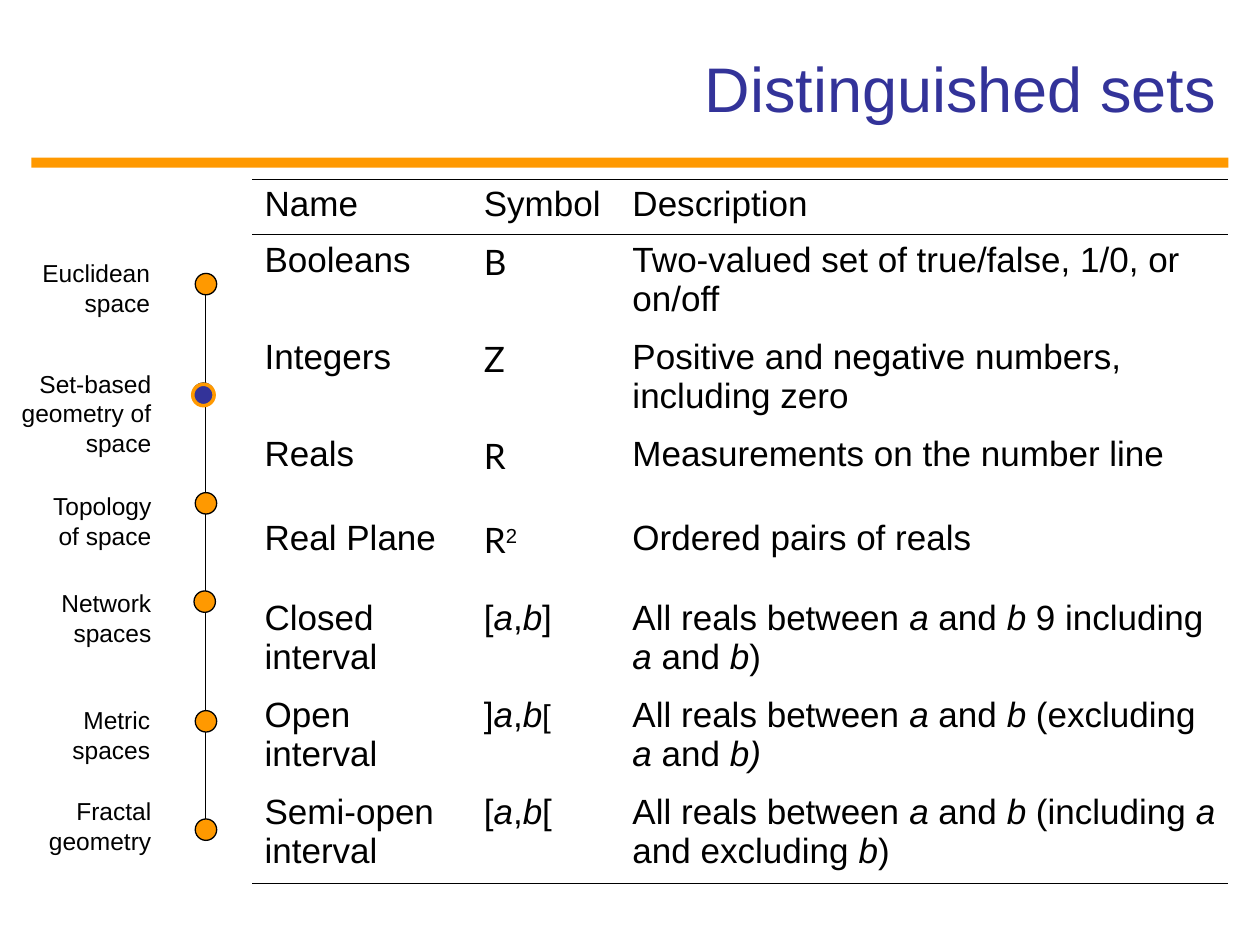
from lxml import etree
from pptx import Presentation
from pptx.dml.color import RGBColor
from pptx.enum.shapes import MSO_CONNECTOR, MSO_SHAPE
from pptx.enum.text import MSO_ANCHOR, MSO_AUTO_SIZE, PP_ALIGN
from pptx.oxml.ns import qn
from pptx.util import Inches, Pt

ORANGE = RGBColor(0xFF, 0x99, 0x00)
INDIGO = RGBColor(0x33, 0x33, 0x99)
BLACK = RGBColor(0, 0, 0)
FONT = "Arial"
SYMBOL_FONT = "Lato"
NO_STYLE = "{2D5ABB26-0587-4C30-8999-92F81FD0307C}"
DOT = 0.17

# label, left, top, width, height, dot left, dot top
TOPICS = [
    ("Euclidean space", 0.2, 2, 1.09, 0.57, 1.55, 2.17),
    ("Set-based geometry of space", 0.03, 2.88, 1.27, 0.8, 1.53, 3.04),
    ("Topology of space", 0.29, 3.85, 1.01, 0.57, 1.55, 3.91),
    ("Network spaces", 0.23, 4.62, 1.07, 0.57, 1.54, 4.69),
    ("Metric spaces", 0.27, 5.55, 1.02, 0.57, 1.55, 5.64),
    ("Fractal geometry", 0.07, 6.27, 1.23, 0.57, 1.55, 6.5),
]

# *text* is italic, ^text is a superscript
ROWS = [
    ("Name", "Symbol", "Description"),
    ("Booleans", "B", "Two-valued set of true/false, 1/0, or on/off"),
    ("Integers", "Z", "Positive and negative numbers, including zero"),
    ("Reals", "R", "Measurements on the number line"),
    ("Real Plane", "R^2", "Ordered pairs of reals"),
    ("Closed interval", "[*a*,*b*]",
     "All reals between *a* and *b* 9 including *a* and *b*)"),
    ("Open interval", "]*a*,*b*[",
     "All reals between *a* and *b* (excluding *a* and *b)*"),
    ("Semi-open interval", "[*a*,*b*[",
     "All reals between *a* and *b* (including *a* and excluding *b*)"),
]
COL_WIDTHS = [1.74, 1.18, 4.83]
ROW_HEIGHTS = [0.44, 0.77, 0.77, 0.67, 0.63, 0.77, 0.77, 0.77]


def style(p, size, color=BLACK, align=PP_ALIGN.LEFT):
    p.alignment = align
    p.font.size = Pt(size)
    p.font.name = FONT
    p.font.color.rgb = color


def add_title(slide, text):
    sp = slide.shapes.title
    sp.left, sp.top, sp.width, sp.height = map(Inches, (0.75, 0.22, 9, 0.95))
    tf = sp.text_frame
    tf.text = text
    tf.auto_size = MSO_AUTO_SIZE.NONE
    tf.vertical_anchor = MSO_ANCHOR.MIDDLE
    style(tf.paragraphs[0], 36, INDIGO, PP_ALIGN.RIGHT)


def add_filled(slide, kind, box, fill, line=None, line_width=0.75):
    sp = slide.shapes.add_shape(kind, *map(Inches, box))
    sp.shadow.inherit = False
    sp.fill.solid()
    sp.fill.fore_color.rgb = fill
    if line is None:
        sp.line.fill.background()
    else:
        sp.line.color.rgb = line
        sp.line.width = Pt(line_width)


def add_dot(slide, left, top, fill=ORANGE, line=BLACK, line_width=0.75):
    add_filled(slide, MSO_SHAPE.OVAL, (left, top, DOT, DOT), fill, line, line_width)


def add_label(slide, text, box):
    tf = slide.shapes.add_textbox(*map(Inches, box)).text_frame
    tf.word_wrap = True
    tf.text = text
    style(tf.paragraphs[0], 14, align=PP_ALIGN.RIGHT)


def add_timeline(slide):
    line = slide.shapes.add_connector(
        MSO_CONNECTOR.STRAIGHT, Inches(1.63), Inches(2.17), Inches(1.63), Inches(6.58))
    line.line.color.rgb = BLACK
    line.line.width = Pt(0.75)
    etree.SubElement(line._element.spPr, qn("a:effectLst"))
    for text, left, top, width, height, dot_left, dot_top in TOPICS:
        add_label(slide, text, (left, top, width, height))
        add_dot(slide, dot_left, dot_top)


def set_borders(cell, sides):
    """Rule the given sides ("T", "B") and clear the others."""
    tcPr = cell._tc.get_or_add_tcPr()
    for side in "LRTB":
        ln = etree.SubElement(tcPr, qn(f"a:ln{side}"), w=str(Pt(0.45)))
        if side in sides:
            fill = etree.SubElement(ln, qn("a:solidFill"))
            etree.SubElement(fill, qn("a:srgbClr"), val=str(BLACK))
        else:
            etree.SubElement(ln, qn("a:noFill"))


def fill_cell(cell, text):
    p = cell.text_frame.paragraphs[0]
    style(p, 20)
    p.space_before = p.space_after = Pt(8.8)
    base, _, power = text.partition("^")
    for i, part in enumerate(base.split("*")):
        if part:
            r = p.add_run()
            r.text = part
            if i % 2:
                r.font.italic = True
    if base in ("B", "Z", "R"):
        p.runs[0].font.name = SYMBOL_FONT
    if power:
        r = p.add_run()
        r.text = power
        r.font._element.set("baseline", "30000")


def add_sets_table(slide):
    table = slide.shapes.add_table(
        len(ROWS), len(COL_WIDTHS), Inches(2), Inches(1.42),
        Inches(sum(COL_WIDTHS)), Inches(sum(ROW_HEIGHTS))).table
    table.first_row = table.horz_banding = False
    table._tbl.tblPr.find(qn("a:tableStyleId")).text = NO_STYLE
    for column, width in zip(table.columns, COL_WIDTHS):
        column.width = Inches(width)
    for row, height in zip(table.rows, ROW_HEIGHTS):
        row.height = Inches(height)

    ruled = {0: "TB", 1: "T", len(ROWS) - 1: "B"}
    for i, texts in enumerate(ROWS):
        for j, text in enumerate(texts):
            cell = table.cell(i, j)
            fill_cell(cell, text)
            set_borders(cell, ruled.get(i, ""))
            cell.fill.background()

    p = table.cell(6, 1).text_frame.paragraphs[0]
    p.space_before = p.space_after = Pt(7.9)
    p.runs[-1].font.size = Pt(18)


def main():
    prs = Presentation()
    prs.slide_width, prs.slide_height = Inches(10), Inches(7.5)
    slide = prs.slides.add_slide(prs.slide_layouts[5])
    add_filled(slide, MSO_SHAPE.RECTANGLE, (0.25, 1.25, 9.5, 0.08), ORANGE)
    add_timeline(slide)
    add_title(slide, "Distinguished sets")
    add_sets_table(slide)
    add_dot(slide, 1.53, 3.05, INDIGO, ORANGE, 2)
    prs.save("out.pptx")


if __name__ == "__main__":
    main()
